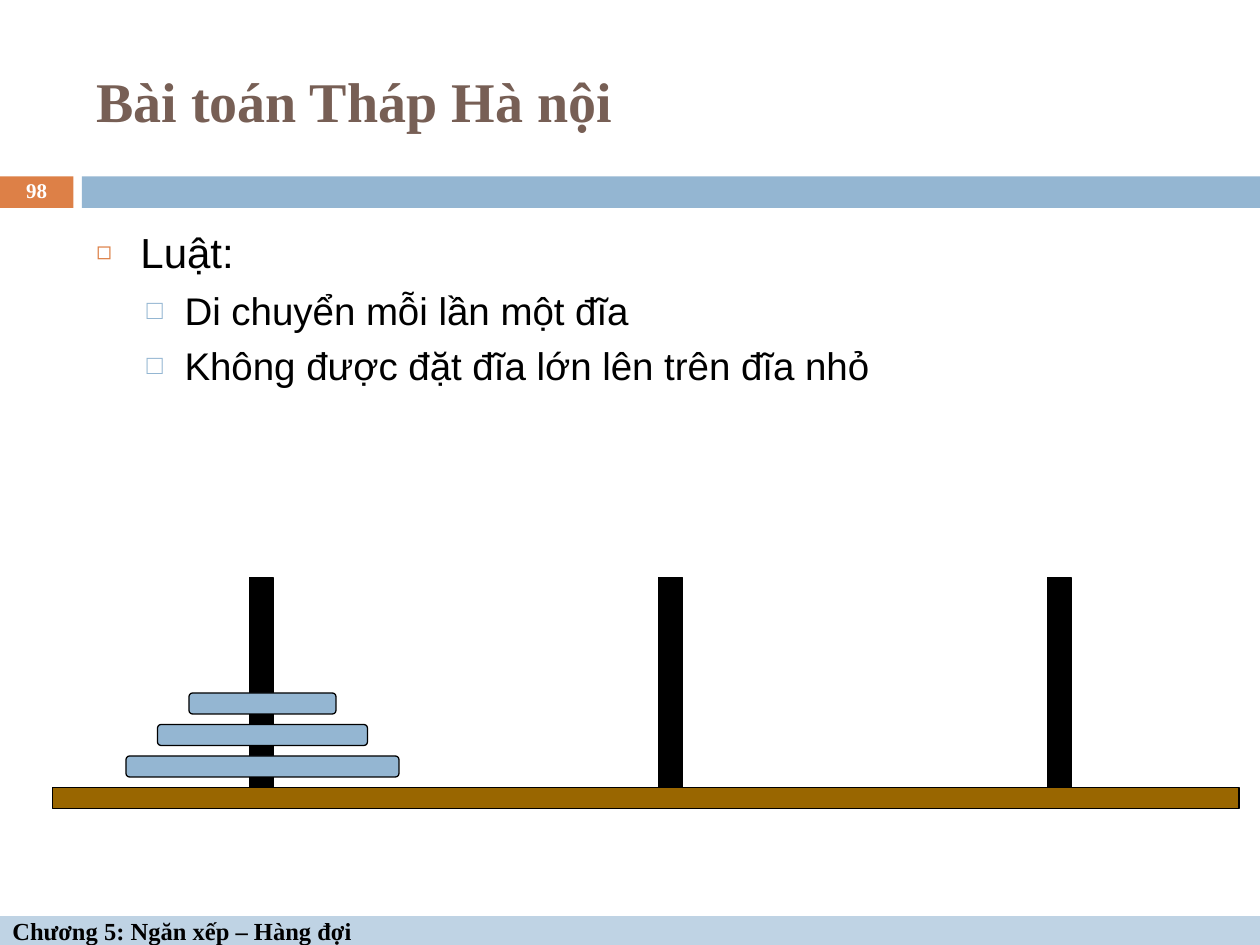
from dataclasses import dataclass
from typing import Optional

import pptx
import pptx.dml.color
import pptx.enum.shapes
import pptx.enum.text
import pptx.oxml
import pptx.oxml.ns
import pptx.util

Pt = pptx.util.Pt
SHAPE = pptx.enum.shapes.MSO_SHAPE
ALIGN = pptx.enum.text.PP_ALIGN
ANCHOR = pptx.enum.text.MSO_ANCHOR


@dataclass(frozen=True)
class Theme:
    serif: str = "Times New Roman"
    sans: str = "Arial"
    orange: str = "DD8047"
    blue: str = "94B6D2"
    pale_blue: str = "BFD3E4"
    brown: str = "775F55"
    wood: str = "996600"
    black: str = "000000"
    white: str = "FFFFFF"
    title_size: float = 32
    rule_size: float = 24
    subrule_size: float = 22
    footer_size: float = 14
    number_size: float = 12


THEME = Theme()


@dataclass(frozen=True)
class Box:
    left: float
    top: float
    width: float
    height: float
    fill: str
    line: Optional[str] = None
    rounding: Optional[float] = None


@dataclass(frozen=True)
class Label:
    text: str
    size: float
    color: str
    align: ALIGN = ALIGN.LEFT
    spacing: float = 1.0


@dataclass(frozen=True)
class Bullet:
    text: str
    level: int
    size: float
    char: str
    color: str
    percent: int
    margin: float
    hanging: float
    before: float


def rgb(color: str) -> pptx.dml.color.RGBColor:
    return pptx.dml.color.RGBColor.from_string(color)


def draw_box(shapes, box: Box):
    kind = SHAPE.RECTANGLE if box.rounding is None else SHAPE.ROUNDED_RECTANGLE
    sp = shapes.add_shape(kind, Pt(box.left), Pt(box.top), Pt(box.width), Pt(box.height))
    sp.shadow.inherit = False
    if box.rounding is not None:
        sp.adjustments[0] = box.rounding
    sp.fill.solid()
    sp.fill.fore_color.rgb = rgb(box.fill)
    if box.line:
        sp.line.color.rgb = rgb(box.line)
        sp.line.width = Pt(0.75)
    else:
        sp.line.fill.background()
    return sp


def add_text_box(s, left: float, top: float, width: float, height: float):
    tf = s.shapes.add_textbox(Pt(left), Pt(top), Pt(width), Pt(height)).text_frame
    tf.word_wrap = True
    return tf


def style_runs(p, font: str, size: float, color: str, bold: bool) -> None:
    for r in p.runs:
        r.font.name = font
        r.font.size = Pt(size)
        r.font.bold = bold
        r.font.color.rgb = rgb(color)


def write_label(tf, label: Label) -> None:
    tf.word_wrap = True
    tf.vertical_anchor = ANCHOR.MIDDLE
    tf.text = label.text
    p = tf.paragraphs[0]
    p.alignment = label.align
    p.line_spacing = label.spacing
    style_runs(p, THEME.serif, label.size, label.color, True)


def write_bullet(p, bullet: Bullet) -> None:
    p.text = bullet.text
    p.level = bullet.level
    pPr = p._p.get_or_add_pPr()
    pPr.set("marL", str(Pt(bullet.margin)))
    pPr.set("indent", str(Pt(-bullet.hanging)))
    ns = pptx.oxml.ns.nsdecls("a")
    for xml in (
        f'<a:buClr {ns}><a:srgbClr val="{bullet.color}"/></a:buClr>',
        f'<a:buSzPct {ns} val="{bullet.percent * 1000}"/>',
        f'<a:buFont {ns} typeface="{THEME.sans}"/>',
        f'<a:buChar {ns} char="{bullet.char}"/>',
    ):
        pPr.append(pptx.oxml.parse_xml(xml))
    p.space_before = Pt(bullet.before)
    style_runs(p, THEME.sans, bullet.size, THEME.black, False)


def draw_frame(s) -> None:
    draw_box(s.shapes, Box(0, 100.8, 42, 18, THEME.orange))
    draw_box(s.shapes, Box(46.8, 100.8, 673.2, 18, THEME.blue))
    footer = draw_box(s.shapes, Box(0, 523.5, 720, 16.5, THEME.pale_blue))
    write_label(footer.text_frame,
                Label("Chương 5: Ngăn xếp – Hàng đợi", THEME.footer_size, THEME.black))
    write_label(add_text_box(s, 48, 18, 642, 78),
                Label("Bài toán Tháp Hà nội", THEME.title_size, THEME.brown))
    write_label(add_text_box(s, 0, 100, 42, 19.5),
                Label("98", THEME.number_size, THEME.white, ALIGN.CENTER, 0.8))


def draw_rules(s) -> None:
    bullets = [Bullet("Luật:", 0, THEME.rule_size, "◻", THEME.orange, 60, 25.2, 25.2, 0)]
    bullets += [
        Bullet(text, 1, THEME.subrule_size, "□", THEME.blue, 70, 50.4, 21.6, 5.5)
        for text in ("Di chuyển mỗi lần một đĩa",
                     "Không được đặt đĩa lớn lên trên đĩa nhỏ")
    ]
    tf = add_text_box(s, 48, 126, 642, 354)
    for i, bullet in enumerate(bullets):
        p = tf.add_paragraph() if i else tf.paragraphs[0]
        write_bullet(p, bullet)


def draw_towers(s) -> None:
    base_top, peg_height, disc_height, disc_step = 450, 120, 12, 18
    stand = s.shapes.add_group_shape()
    draw_box(stand.shapes, Box(30, base_top, 678, 12, THEME.wood, THEME.black))
    for left in (142.5, 376.5, 598.5):
        draw_box(stand.shapes, Box(left, base_top - peg_height, 13.5, peg_height,
                                   THEME.black, THEME.black))
    for i in range(3):
        draw_box(s.shapes, Box(72 + disc_step * i, base_top - disc_step * (i + 1),
                               156 - 2 * disc_step * i, disc_height,
                               THEME.blue, THEME.black, 0.17))


def main() -> None:
    prs = pptx.Presentation()
    prs.slide_width, prs.slide_height = Pt(720), Pt(540)
    s = prs.slides.add_slide(prs.slide_layouts[6])
    draw_frame(s)
    draw_rules(s)
    draw_towers(s)
    prs.save("out.pptx")


if __name__ == "__main__":
    main()
